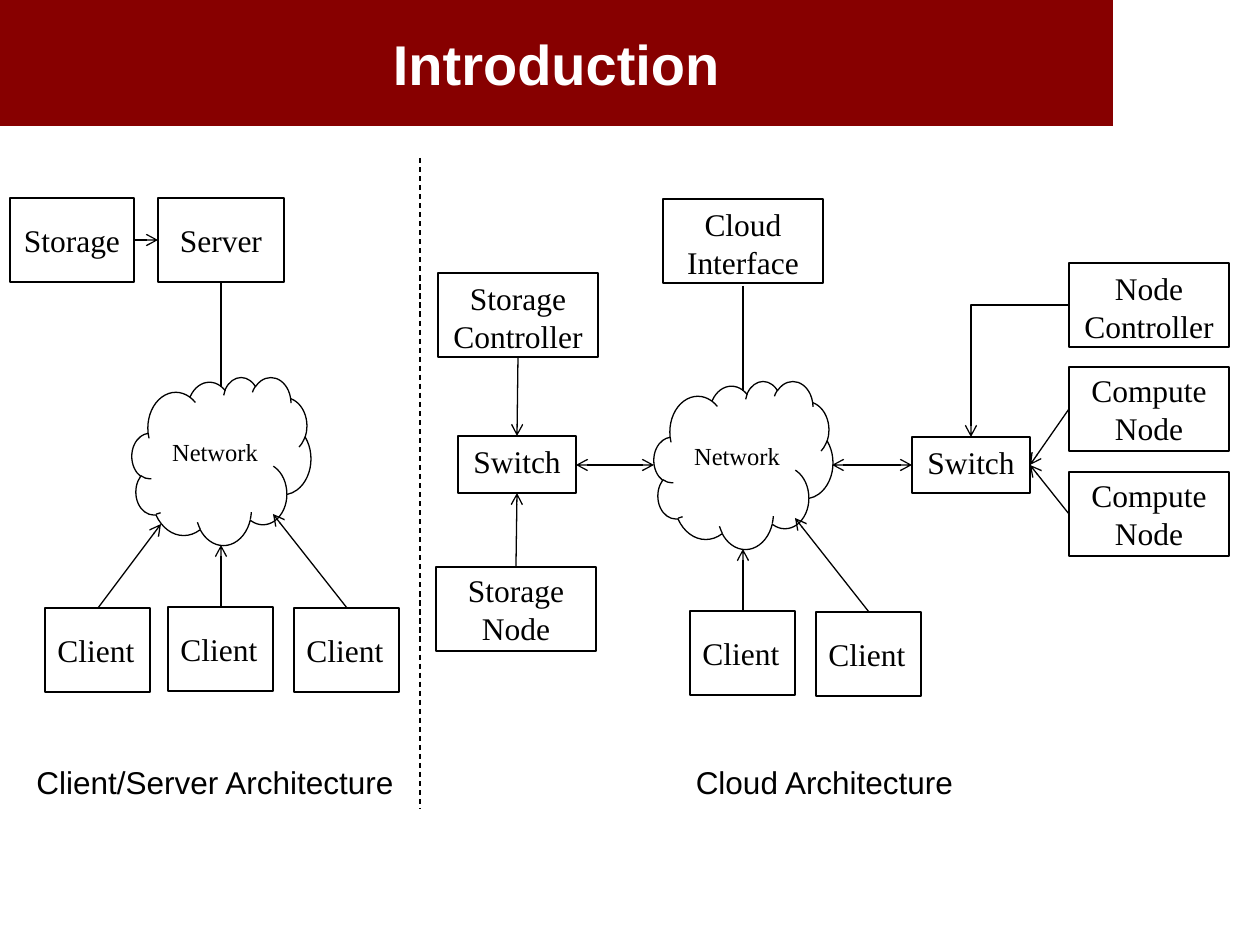
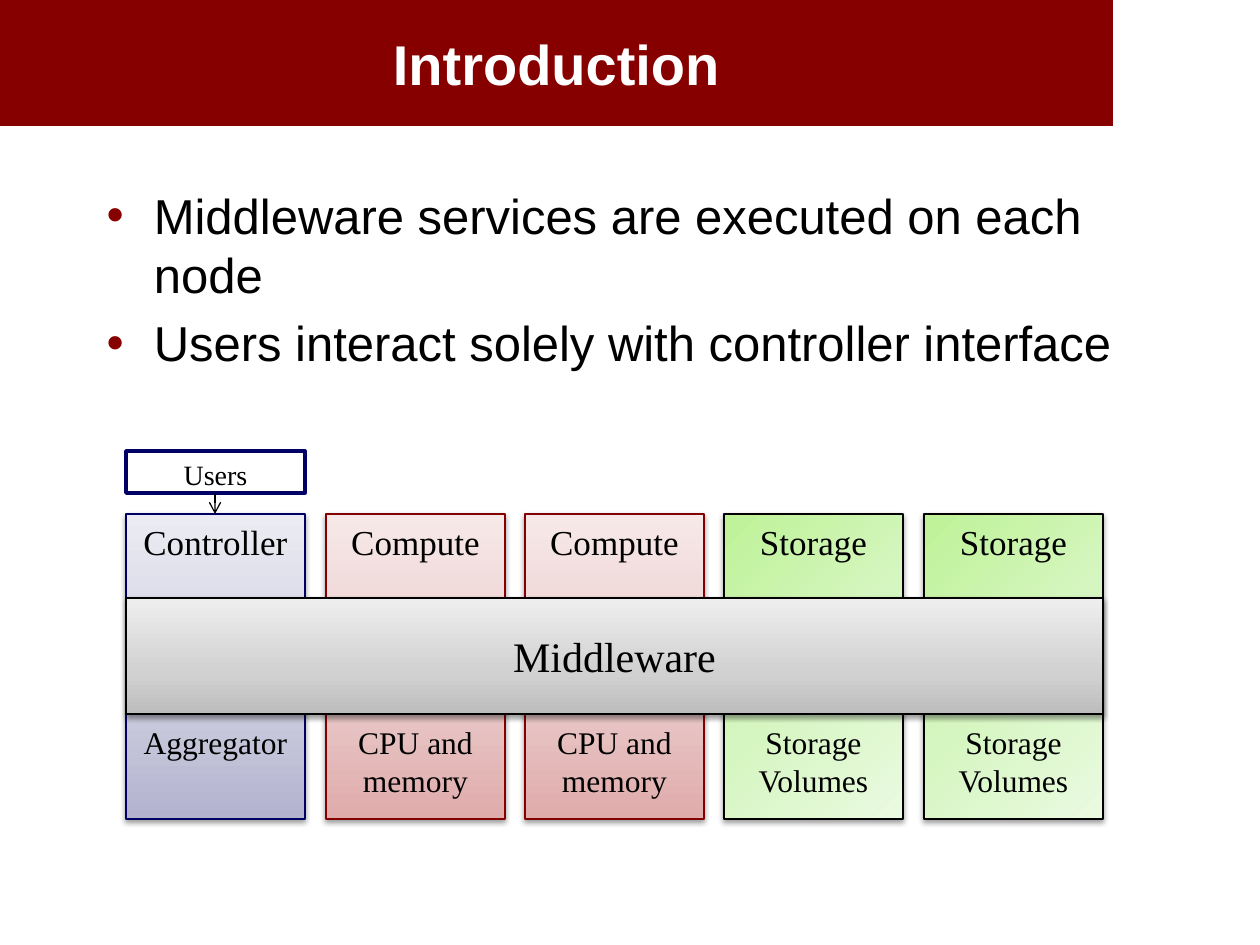
from copy import deepcopy

from lxml import etree
from pptx import Presentation
from pptx import util as u
from pptx.dml.color import RGBColor
from pptx.enum import dml, shapes, text
from pptx.oxml.ns import qn

SCALE = 914400 / 126  # EMU per pixel

MAROON = RGBColor(0x87, 0x00, 0x00)
DARK_RED = RGBColor(0x84, 0x00, 0x00)
NAVY = RGBColor(0x00, 0x00, 0x64)
USER_BLUE = RGBColor(0x00, 0x00, 0x66)
BLACK = RGBColor(0x00, 0x00, 0x00)
WHITE = RGBColor(0xFF, 0xFF, 0xFF)

SANS, SERIF = "Arial", "Times New Roman"
MIDDLE, TOP = text.MSO_ANCHOR.MIDDLE, text.MSO_ANCHOR.TOP
LEFT, CENTER = text.PP_ALIGN.LEFT, text.PP_ALIGN.CENTER
RECT, CLOUD = shapes.MSO_SHAPE.RECTANGLE, shapes.MSO_SHAPE.CLOUD


def gradient(angle, *stops):
    """Describe a gradient as a clockwise angle and (position, colour) stops."""
    return angle, [(pos, RGBColor.from_string(c)) for pos, c in stops]


BLUE_FADE = gradient(270, (0, "B3B3D0"), (0.35, "CACADD"), (1, "EBEBF3"))
RED_FADE = gradient(270, (0, "E0ABAB"), (0.35, "E8C5C5"), (1, "F7E8E8"))
GREEN_FADE = gradient(45, (0, "BEF297"), (0.5, "D5F6C0"), (1, "EAFAE0"))
GREY_FADE = gradient(270, (0, "BDBDBD"), (0.35, "D1D1D1"), (1, "EEEEEE"))


def px(*lengths):
    """Turn pixel lengths into EMU."""
    return [u.Emu(round(n * SCALE)) for n in lengths]


def write(p, words, font=SERIF, size=18, color=BLACK, bold=False, align=CENTER, before=None):
    """Put formatted words into a paragraph."""
    p.alignment = align
    if before is not None:
        p.space_before = u.Pt(before)
    r = p.add_run()
    r.text = words
    r.font.name, r.font.size, r.font.bold = font, u.Pt(size), bold
    r.font.color.rgb = color


def box(sl, at, words=None, kind=RECT, anchor=MIDDLE, line=BLACK, weight=0.75, **fmt):
    """Add an outlined, unfilled shape with optional words."""
    s = sl.shapes.add_shape(kind, *px(*at))
    s.shadow.inherit = False
    s.fill.background()
    s.line.color.rgb, s.line.width = line, u.Pt(weight)
    s.text_frame.word_wrap = True
    s.text_frame.vertical_anchor = anchor
    if words:
        write(s.text_frame.paragraphs[0], words, **fmt)
    return s


def fade(s, fill):
    """Give a shape a three-stop gradient and a soft shadow below."""
    angle, stops = fill
    s.fill.gradient()
    s.fill.gradient_angle = (360 - angle) % 360
    stop_list = s.element.spPr.find(".//" + qn("a:gsLst"))
    stop_list.append(deepcopy(stop_list[0]))
    for stop, (position, color) in zip(s.fill.gradient_stops, stops):
        stop.position = position
        stop.color.rgb = color
    shadow = etree.SubElement(
        s.element.spPr.find(qn("a:effectLst")), qn("a:outerShdw"),
        blurRad=str(u.Pt(3.1)), dist=str(u.Pt(1.6)), dir="5400000", rotWithShape="0")
    black = etree.SubElement(shadow, qn("a:srgbClr"), val="000000")
    etree.SubElement(black, qn("a:alpha"), val="38000")


def link(sl, start, end, head=False, tail=True, bent=False, dash=False):
    """Connect two points, with open arrowheads where asked."""
    kind = shapes.MSO_CONNECTOR.ELBOW if bent else shapes.MSO_CONNECTOR.STRAIGHT
    c = sl.shapes.add_connector(kind, *px(*start, *end))
    c.line.color.rgb, c.line.width = BLACK, u.Pt(0.75)
    if dash:
        c.line.dash_style = dml.MSO_LINE.DASH
    props = c.element.spPr
    if bent:  # a single corner
        props.find(qn("a:prstGeom")).set("prst", "bentConnector2")
    for tag, wanted in (("a:headEnd", head), ("a:tailEnd", tail)):
        if wanted:
            etree.SubElement(props.find(qn("a:ln")), qn(tag), type="arrow")
    etree.SubElement(props, qn("a:effectLst"))


def caption(sl, at, words):
    """Add a centred caption."""
    tf = sl.shapes.add_textbox(*px(*at)).text_frame
    tf.word_wrap = True
    write(tf.paragraphs[0], words, font=SANS)


def place(s, at):
    """Move and size a placeholder."""
    s.left, s.top, s.width, s.height = px(*at)


def titled_slide(prs, layout, words):
    """Add a slide with the maroon title band."""
    sl = prs.slides.add_slide(prs.slide_layouts[layout])
    s = sl.shapes.title
    place(s, (0, 0, 1113, 126))
    s.fill.solid()
    s.fill.fore_color.rgb = MAROON
    s.text_frame.vertical_anchor = MIDDLE
    write(s.text_frame.paragraphs[0], words, font=SANS, size=32, color=WHITE, bold=True)
    return sl


def bullets(s, items):
    """Fill the body placeholder with maroon-bulleted items."""
    tf = s.text_frame
    tf.auto_size = text.MSO_AUTO_SIZE.NONE
    for i, item in enumerate(items):
        p = tf.add_paragraph() if i else tf.paragraphs[0]
        write(p, item, font=SANS, size=28, align=LEFT)
        mark = etree.Element(qn("a:buClr"))
        etree.SubElement(mark, qn("a:srgbClr"), val=str(MAROON))
        p._p.get_or_add_pPr().insert(0, mark)


def network(sl, x, y, clients):
    """Draw a network cloud, its uplink and the clients below it.

    Each client is its left, top and arrow tip, all relative to the cloud.
    """
    s = box(sl, (x, y, 179, 168), "Network", kind=CLOUD, anchor=TOP, size=14)
    s.text_frame.margin_top = px(35)[0]
    link(sl, (x + 89, y - 95), (x + 89, y + 10), tail=False)
    for left, top, tip_x, tip_y in clients:
        box(sl, (x + left, y + top, 105, 84), "Client", align=LEFT)
        link(sl, (x + left + 53, y + top), (x + tip_x, y + tip_y))


def architectures(prs):
    """Compare client/server and cloud architectures."""
    sl = titled_slide(prs, 5, "Introduction")
    clients = [(-87, 231, 29, 147), (36, 230, 89, 168), (162, 231, 141, 137)]
    network(sl, 132, 377, clients)
    network(sl, 654, 381, clients[1:])

    for x, y, w, h, words, anchor in [
        (10, 198, 124, 84, "Storage", MIDDLE),
        (158, 198, 126, 84, "Server", MIDDLE),
        (663, 199, 160, 84, "Cloud Interface", TOP),
        (438, 273, 160, 84, "Storage Controller", TOP),
        (436, 567, 160, 84, "Storage Node", MIDDLE),
        (1069, 263, 160, 84, "Node Controller", TOP),
        (1069, 367, 160, 84, "Compute Node", MIDDLE),
        (1069, 472, 160, 84, "Compute Node", MIDDLE),
        (458, 436, 118, 57, "Switch", TOP),
        (912, 437, 118, 56, "Switch", TOP),
    ]:
        box(sl, (x, y, w, h), words, anchor=anchor)

    link(sl, (134, 240), (158, 240))
    link(sl, (518, 357), (517, 436))
    link(sl, (516, 567), (517, 493))
    link(sl, (1069, 409), (1030, 465))
    link(sl, (1069, 514), (1030, 465))
    link(sl, (1069, 305), (971, 437), bent=True)
    link(sl, (576, 465), (654, 465), head=True)
    link(sl, (832, 465), (912, 465), head=True)
    link(sl, (420, 158), (420, 809), tail=False, dash=True)

    caption(sl, (10, 757, 410, 50), "Client/Server Architecture")
    caption(sl, (420, 757, 809, 50), "Cloud Architecture")


def middleware(prs):
    """Show the middleware layer that spans every node."""
    sl = titled_slide(prs, 1, "Introduction")
    body = sl.placeholders[1]
    place(body, (94, 179, 1071, 661))
    bullets(body, ["Middleware services are executed on each node",
                   "Users interact solely with controller interface"])

    compute = ("Compute", "CPU and memory", RED_FADE, DARK_RED)
    storage = ("Storage", "Storage Volumes", GREEN_FADE, BLACK)
    nodes = [("Controller", "Aggregator", BLUE_FADE, NAVY),
             compute, compute, storage, storage]
    left, width, right = 126, 179, 1103
    pitch = (right - left - width) / (len(nodes) - 1)
    for i, (role, resource, fill, line) in enumerate(nodes):
        s = box(sl, (left + round(i * pitch), 514, width, 305), role,
                anchor=TOP, line=line, size=20)
        write(s.text_frame.add_paragraph(), resource, before=92)
        fade(s, fill)

    fade(box(sl, (left, 598, right - left, 116), "Middleware", size=24), GREY_FADE)
    users = box(sl, (left, 451, width, 42), "Users", anchor=TOP,
                line=USER_BLUE, weight=2, size=16)
    users.fill.solid()
    users.fill.fore_color.rgb = WHITE
    link(sl, (215, 493), (215, 514))


def main():
    """Build and save the presentation."""
    prs = Presentation()
    prs.slide_width, prs.slide_height = px(1260, 945)
    architectures(prs)
    middleware(prs)
    prs.save("out.pptx")


main()
